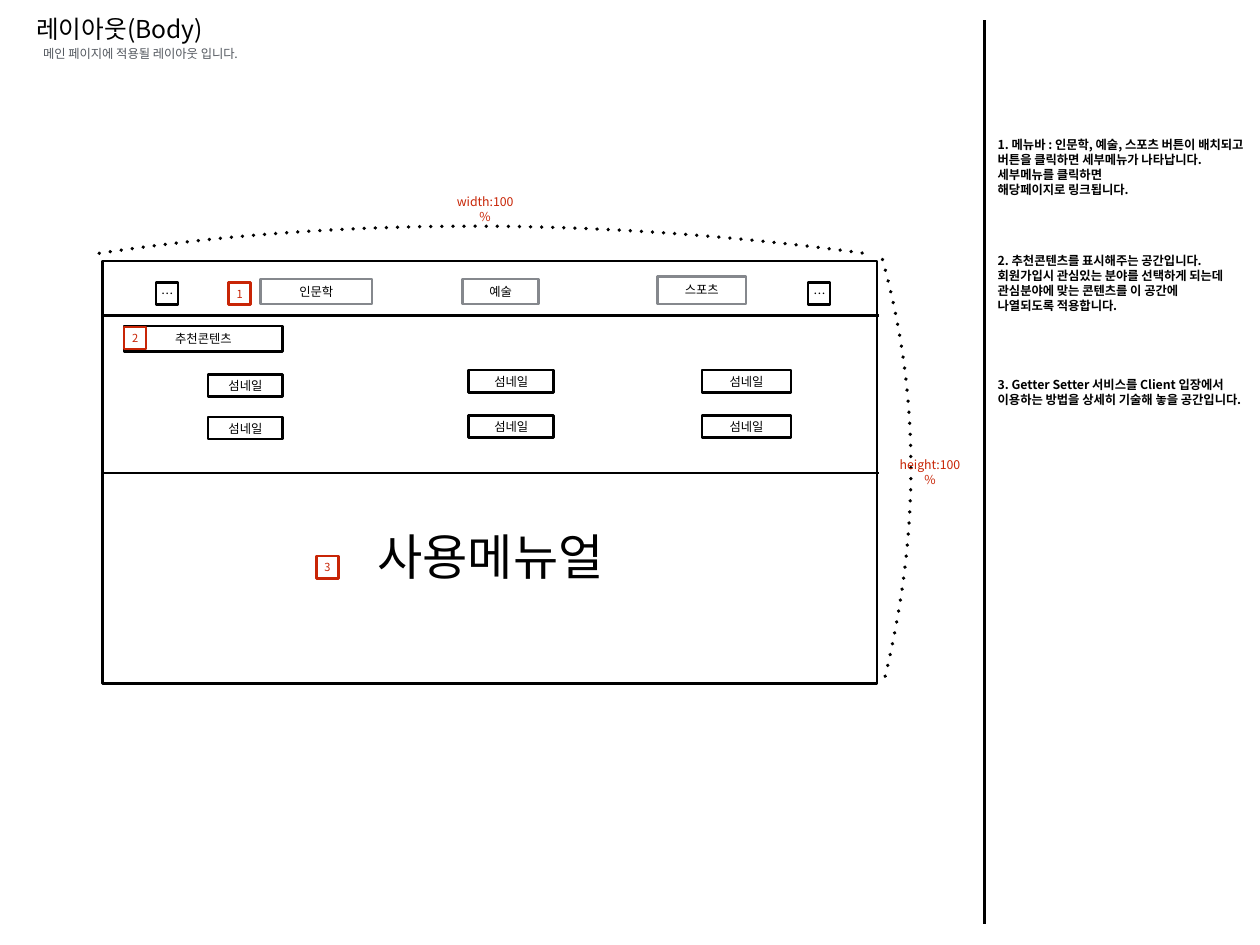
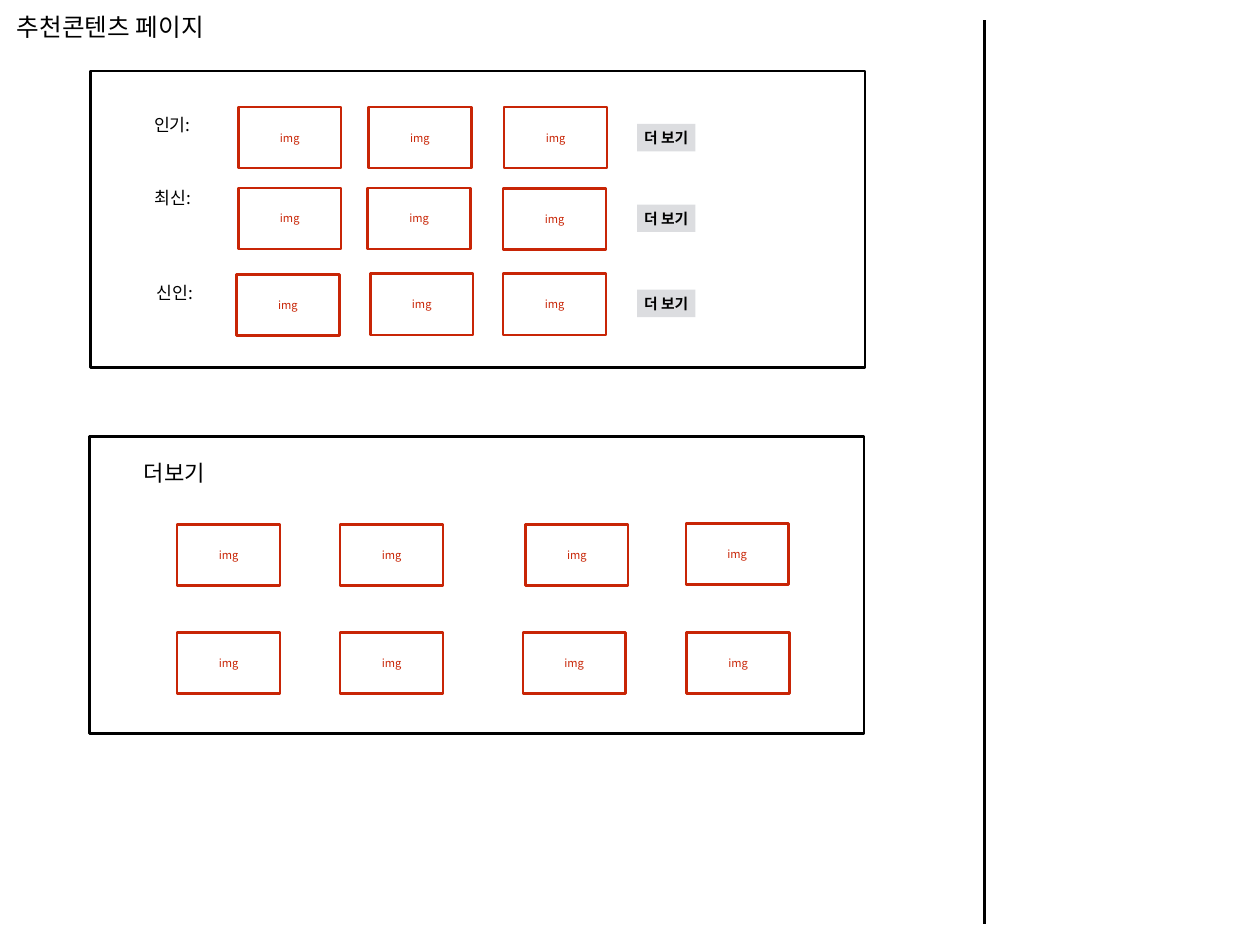
from lxml import etree
from pptx import Presentation
from pptx.dml.color import RGBColor
from pptx.enum.shapes import MSO_CONNECTOR, MSO_SHAPE
from pptx.enum.text import MSO_ANCHOR, MSO_AUTO_SIZE, PP_ALIGN
from pptx.oxml.ns import qn
from pptx.util import Pt

PX = 9144  # one px is a hundredth of an inch
SLIDE_WIDTH, SLIDE_HEIGHT = 1422, 1067
INSET = 6
FONT = "Noto Sans CJK KR"

BLACK = RGBColor(0x00, 0x00, 0x00)
RED = RGBColor(0xC8, 0x25, 0x06)
GRAY = RGBColor(0x85, 0x88, 0x8D)
SLATE = RGBColor(0x53, 0x58, 0x5F)
SILVER = RGBColor(0xDC, 0xDD, 0xE0)

IMAGE_WIDTH, IMAGE_HEIGHT = 116, 69
PANEL_WIDTH, PANEL_HEIGHT = 874, 335


def emu(*lengths):
    return [round(length * PX) for length in lengths]


# Text
def write_text(shape, lines, size, color=BLACK, bold=False,
               align=PP_ALIGN.CENTER, anchor=MSO_ANCHOR.MIDDLE,
               wrap=True, grow=False):
    frame = shape.text_frame
    frame.margin_left = frame.margin_right = INSET * PX
    frame.margin_top = frame.margin_bottom = INSET * PX
    frame.vertical_anchor = anchor
    frame.word_wrap = wrap
    frame.auto_size = (MSO_AUTO_SIZE.SHAPE_TO_FIT_TEXT if grow
                       else MSO_AUTO_SIZE.NONE)
    for index, line in enumerate(lines):
        paragraph = frame.paragraphs[0] if index == 0 else frame.add_paragraph()
        paragraph.alignment = align
        run = paragraph.add_run()
        run.text = line
        run.font.size = Pt(size)
        run.font.bold = bold
        run.font.name = FONT
        run.font.color.rgb = color
        east_asian = etree.SubElement(run._r.get_or_add_rPr(), qn("a:ea"))
        east_asian.set("typeface", FONT)


def add_label(slide, box, lines, size, **style):
    shape = slide.shapes.add_textbox(*emu(*box))
    write_text(shape, lines, size, grow=True, **style)


# Boxes and lines
def add_box(slide, box, text=None, size=10, line=BLACK, color=BLACK):
    shape = slide.shapes.add_shape(MSO_SHAPE.RECTANGLE, *emu(*box))
    shape.shadow.inherit = False
    shape.fill.background()
    shape.line.color.rgb = line
    shape.line.width = Pt(2)
    if text:
        write_text(shape, [text], size, color)


def add_marker(slide, left, top, number):
    add_box(slide, (left, top, 25, 25), number, 9, RED, RED)


def add_image_box(slide, left, top):
    add_box(slide, (left, top, IMAGE_WIDTH, IMAGE_HEIGHT), "img", 9, RED, RED)


def add_more_button(slide, top):
    shape = slide.shapes.add_shape(MSO_SHAPE.RECTANGLE, *emu(719, top, 66, 31))
    shape.shadow.inherit = False
    shape.fill.solid()
    shape.fill.fore_color.rgb = SILVER
    shape.line.fill.background()
    write_text(shape, ["더 보기"], 12, bold=True, wrap=False, grow=True)


def add_line(slide, *ends):
    connector = slide.shapes.add_connector(MSO_CONNECTOR.STRAIGHT, *emu(*ends))
    connector.line.color.rgb = BLACK
    connector.line.width = Pt(2)
    etree.SubElement(connector._element.spPr, qn("a:effectLst"))


def add_dotted_curve(slide, start, control_1, control_2, end, steps=48):
    points = []
    for step in range(steps + 1):
        t = step / steps
        weights = ((1 - t) ** 3, 3 * t * (1 - t) ** 2, 3 * t * t * (1 - t), t ** 3)
        curve = zip(start, control_1, control_2, end)
        points.append(emu(*(sum(w * c for w, c in zip(weights, axis))
                            for axis in curve)))
    builder = slide.shapes.build_freeform(*points[0])
    builder.add_line_segments(points[1:], close=False)
    shape = builder.convert_to_shape()
    shape.shadow.inherit = False
    shape.fill.background()
    shape.line.color.rgb = BLACK
    shape.line.width = Pt(3)
    # Round dots, two widths apart
    outline = shape.line._get_or_add_ln()
    outline.set("cap", "rnd")
    dashes = etree.SubElement(outline, qn("a:custDash"))
    dot = etree.SubElement(dashes, qn("a:ds"))
    dot.set("d", "100000")
    dot.set("sp", "200000")


# Title and side rule of every page
def add_page(presentation, title, box):
    slide = presentation.slides.add_slide(presentation.slide_layouts[5])
    shape = slide.shapes.title
    shape.left, shape.top, shape.width, shape.height = emu(*box)
    write_text(shape, [title], 20, align=PP_ALIGN.LEFT, wrap=False, grow=True)
    add_line(slide, 1111, 1043, 1111, 23)
    return slide


def build_layout_page(presentation):
    slide = add_page(presentation, "레이아웃(Body)", (35, 10, 211, 45))
    add_label(slide, (29, 46, 259, 28), ["메인 페이지에 적용될 레이아웃 입니다."],
              10, color=SLATE, wrap=False)

    # Page frame and its dimensions
    add_box(slide, (116, 295, 874, 477))
    for top in (356, 534):
        add_line(slide, 116, top, 992, top)
    add_dotted_curve(slide, (112, 286), (386, 245), (677, 245), (983, 287))
    add_dotted_curve(slide, (996, 293), (1038, 443), (1039, 601), (998, 768))
    for box, text in (((505, 222, 85, 28), "width:100%"),
                      ((1005, 519, 89, 28), "height:100%")):
        add_label(slide, box, [text], 10, color=RED, wrap=False)

    # Menu bar
    for box, text in (((294, 315, 126, 28), "인문학"),
                      ((522, 315, 86, 28), "예술"),
                      ((742, 312, 100, 31), "스포츠")):
        add_box(slide, box, text, line=GRAY)
    for left in (176, 912):
        add_box(slide, (left, 319, 25, 25), "…")

    # Recommended contents
    add_box(slide, (140, 368, 179, 29), "추천콘텐츠")
    for left, width, tops in ((235, 84, (423, 471)),
                              (529, 96, (418, 469)),
                              (792, 101, (418, 469))):
        for top in tops:
            add_box(slide, (left, top, width, 25), "섬네일")

    # Manual
    add_label(slide, (224, 588, 659, 79), ["사용메뉴얼"], 40)

    for number, (left, top) in enumerate(((258, 319), (140, 369), (357, 628)), 1):
        add_marker(slide, left, top, str(number))

    # Notes beside the rule
    notes = (
        (149, 79, ["1. 메뉴바 : 인문학, 예술, 스포츠 버튼이 배치되고 버튼을 클릭하면 "
                   "세부메뉴가 나타납니다. 세부메뉴를 클릭하면",
                   "해당페이지로 링크됩니다."]),
        (280, 79, ["2. 추천콘텐츠를 표시해주는 공간입니다. 회원가입시 관심있는 분야를 "
                   "선택하게 되는데 관심분야에 맞는 콘텐츠를 이 공간에",
                   "나열되도록 적용합니다."]),
        (412, 62, ["3. Getter Setter 서비스를 Client 입장에서 이용하는 방법을 상세히 "
                   "기술해 놓을 공간입니다."]),
    )
    for top, height, lines in notes:
        add_label(slide, (1120, top, 292, height), lines, 10,
                  bold=True, align=PP_ALIGN.LEFT)


def build_recommendation_page(presentation):
    slide = add_page(presentation, "추천콘텐츠 페이지", (13, 8, 245, 45))

    # Categories with their images
    add_box(slide, (102, 80, PANEL_WIDTH, PANEL_HEIGHT))
    categories = (
        ("인기:", 121, 123, 140, ((269, 121), (416, 121), (569, 121))),
        ("최신:", 122, 206, 231, ((269, 212), (415, 212), (568, 213))),
        ("신인:", 124, 313, 327, ((267, 310), (418, 309), (568, 309))),
    )
    for name, left, top, button_top, images in categories:
        add_label(slide, (left, top, 147, 40), [name], 14, anchor=MSO_ANCHOR.TOP)
        for image in images:
            add_image_box(slide, *image)
        add_more_button(slide, button_top)

    # Full list
    add_box(slide, (101, 493, PANEL_WIDTH, PANEL_HEIGHT))
    add_label(slide, (111, 513, 172, 42), ["더보기"], 18)
    for left, top in ((200, 592), (384, 592), (593, 592), (774, 591),
                      (200, 714), (384, 714), (590, 714), (775, 714)):
        add_image_box(slide, left, top)


def main():
    presentation = Presentation()
    presentation.slide_width, presentation.slide_height = emu(SLIDE_WIDTH, SLIDE_HEIGHT)
    build_layout_page(presentation)
    build_recommendation_page(presentation)
    presentation.save("out.pptx")


if __name__ == "__main__":
    main()
